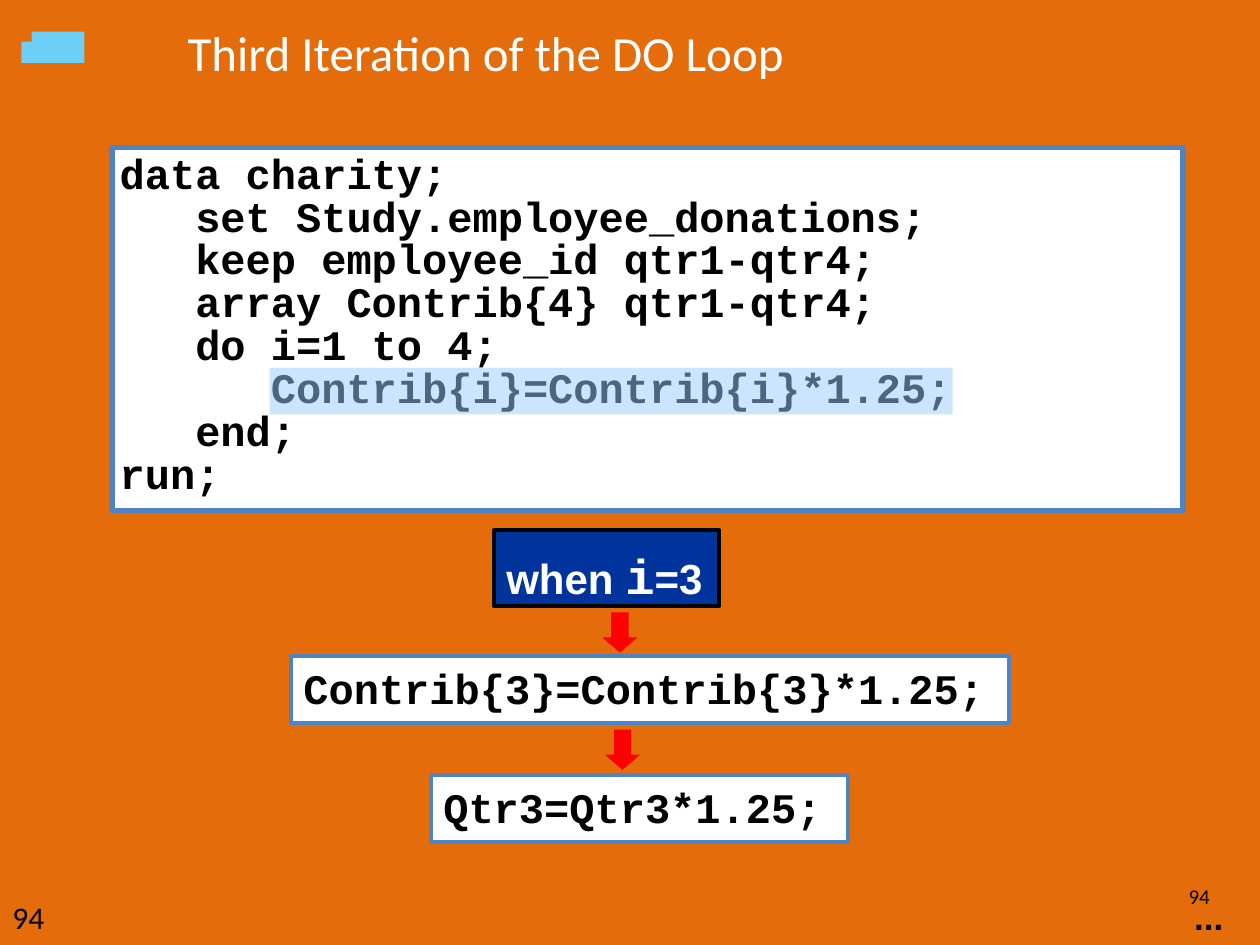
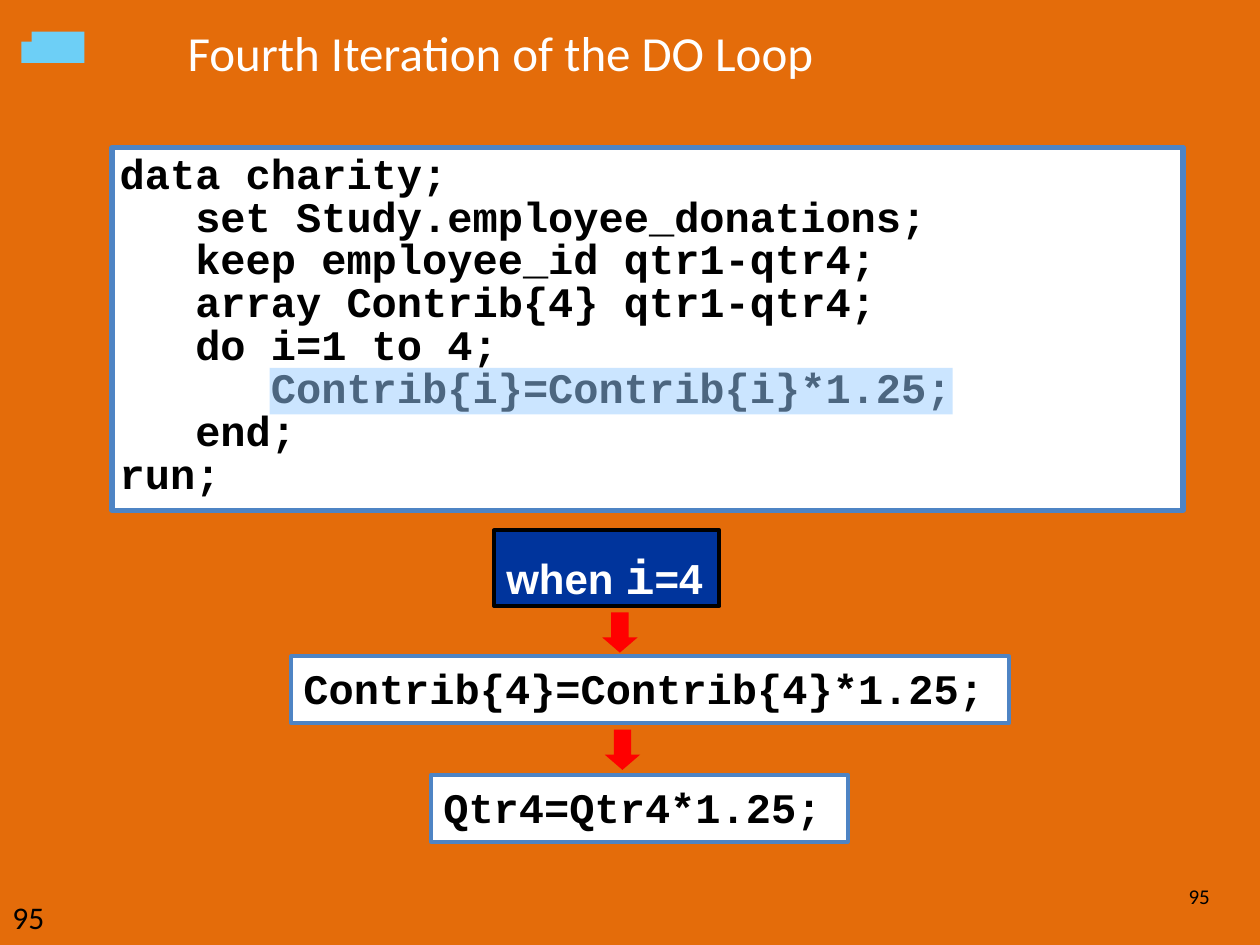
from dataclasses import dataclass

from lxml import etree
from pptx import Presentation
from pptx.dml.color import RGBColor
from pptx.enum import shapes, text
from pptx.oxml import ns
from pptx.util import Emu, Inches, Pt

COLS, ROWS = 100, 75
RECT = shapes.MSO_SHAPE.RECTANGLE
DOWN = shapes.MSO_SHAPE.DOWN_ARROW


@dataclass(frozen=True)
class Theme:
    back: str = "E46C0A"
    ornament: str = "6DCFF6"
    panel: str = "FFFFFF"
    frame: str = "4E84C4"
    badge: str = "00349C"
    arrow: str = "FF0000"
    highlight: str = "99CCFF"
    light: str = "FFFFFF"
    dark: str = "000000"
    body: str = "Calibri"
    label: str = "Arial"
    code: str = "Courier New"
    title_size: int = 28
    index_size: int = 28
    code_size: int = 24
    more_size: int = 20
    page_size: int = 18
    footer_size: int = 12


CODE = """data charity;
   set Study.employee_donations;
   keep employee_id qtr1-qtr4;
   array Contrib{4} qtr1-qtr4;
   do i=1 to 4;
      Contrib{i}=Contrib{i}*1.25;
   end;
run;"""


def add_run(p, words, font=Theme.body, size=Theme.page_size,
            color=Theme.dark, bold=False):
    r = p.add_run()
    r.text = words
    r.font.name = font
    r.font.size = Pt(size)
    r.font.bold = bold
    r.font.color.rgb = RGBColor.from_string(color)


class Deck:
    def __init__(self, theme):
        self.theme = theme
        self.prs = Presentation()
        self.prs.slide_width = Inches(10)
        self.prs.slide_height = Inches(7.5)
        self.s = None

    def new_slide(self):
        self.s = self.prs.slides.add_slide(self.prs.slide_layouts[6])
        fill = self.s.background.fill
        fill.solid()
        fill.fore_color.rgb = RGBColor.from_string(self.theme.back)

    def place(self, left, top, width, height):
        col = self.prs.slide_width / COLS
        row = self.prs.slide_height / ROWS
        return [Emu(round(n * unit)) for n, unit in
                ((left, col), (top, row), (width, col), (height, row))]

    def shape(self, at, fill, line=None, weight=2.25, kind=RECT, alpha=None):
        sp = self.s.shapes.add_shape(kind, *self.place(*at))
        sp.shadow.inherit = False
        sp.fill.solid()
        sp.fill.fore_color.rgb = RGBColor.from_string(fill)
        if alpha is not None:
            color = sp.element.find(".//" + ns.qn("a:srgbClr"))
            etree.SubElement(color, ns.qn("a:alpha"), val=str(alpha * 1000))
        if line:
            sp.line.color.rgb = RGBColor.from_string(line)
            sp.line.width = Pt(weight)
        else:
            sp.line.fill.background()
        return sp

    def set_text(self, sp, lines, inset=(0.1, 0.05), align=text.PP_ALIGN.LEFT,
                 anchor=text.MSO_ANCHOR.TOP, spacing=None, wrap=True):
        tf = sp.text_frame
        tf.word_wrap = wrap
        tf.vertical_anchor = anchor
        tf.margin_left = tf.margin_right = Inches(inset[0])
        tf.margin_top = tf.margin_bottom = Inches(inset[1])
        for i, runs in enumerate(lines):
            p = tf.add_paragraph() if i else tf.paragraphs[0]
            p.alignment = align
            p.line_spacing = spacing
            for words, style in runs:
                add_run(p, words, **style)
        return tf

    def label(self, at, words, style, **layout):
        sp = self.s.shapes.add_textbox(*self.place(*at))
        self.set_text(sp, [[(words, style)]], **layout)

    def code(self, at, source, weight=2.25, **layout):
        t = self.theme
        style = dict(font=t.code, size=t.code_size, color=t.dark, bold=True)
        sp = self.shape(at, t.panel, t.frame, weight)
        lines = [[(line, style)] for line in source.split("\n")]
        self.set_text(sp, lines, **layout)

    def badge(self, at, index):
        t = self.theme
        word = dict(font=t.label, size=t.code_size, color=t.light, bold=True)
        name = dict(word, font=t.code, size=t.index_size)
        sp = self.shape(at, t.badge, t.dark)
        runs = [("when ", word), ("i", name), (f"={index}", word)]
        tf = self.set_text(sp, [runs], wrap=False)
        tf.margin_top = Inches(0.12)

    def arrow(self, left, top):
        sp = self.shape((left, top, 2.8, 3.2), self.theme.arrow, kind=DOWN)
        sp.adjustments[0], sp.adjustments[1] = 0.49, 0.43

    def frame(self, title, page):
        t = self.theme
        middle = text.MSO_ANCHOR.MIDDLE
        self.shape((2.5, 2.5, 4.2, 2.5), t.ornament)
        self.shape((1.7, 3.3, 1.7, 1.7), t.ornament)
        self.label((89.7, 69.2, 7.3, 3.9), page, dict(size=t.footer_size),
                   align=text.PP_ALIGN.RIGHT, anchor=middle)
        self.label((13.9, 1.2, 83.5, 5.8), title,
                   dict(size=t.title_size, color=t.light), anchor=middle)
        self.label((0, 70.8, 5.8, 4.2), page, dict(size=t.page_size))

    def more(self):
        t = self.theme
        self.label((93.8, 70.6, 5, 4.3), "...",
                   dict(font=t.label, size=t.more_size, bold=True), wrap=False)

    def iteration(self, ordinal, index, page, continues):
        self.new_slide()
        self.frame(f"{ordinal} Iteration of the DO Loop", str(page))
        self.badge((39.2, 42.1, 17.9, 6), index)
        if continues:
            self.more()
        self.code((23.1, 52.1, 57, 5.3),
                  f"Contrib{{{index}}}=Contrib{{{index}}}*1.25;")
        self.code((8.9, 11.7, 85, 28.8), CODE, weight=3,
                  inset=(0.06, 0.06), spacing=0.85)
        self.code((34.2, 61.5, 33.1, 5.3), f"Qtr{index}=Qtr{index}*1.25;")
        self.arrow(47.8, 48.6)
        self.arrow(48, 57.9)
        self.shape((21.4, 29.2, 54.2, 3.7), self.theme.highlight, alpha=50)


def main():
    deck = Deck(Theme())
    deck.iteration("Third", 3, 94, continues=True)
    deck.iteration("Fourth", 4, 95, continues=False)
    deck.prs.save("out.pptx")


if __name__ == "__main__":
    main()
